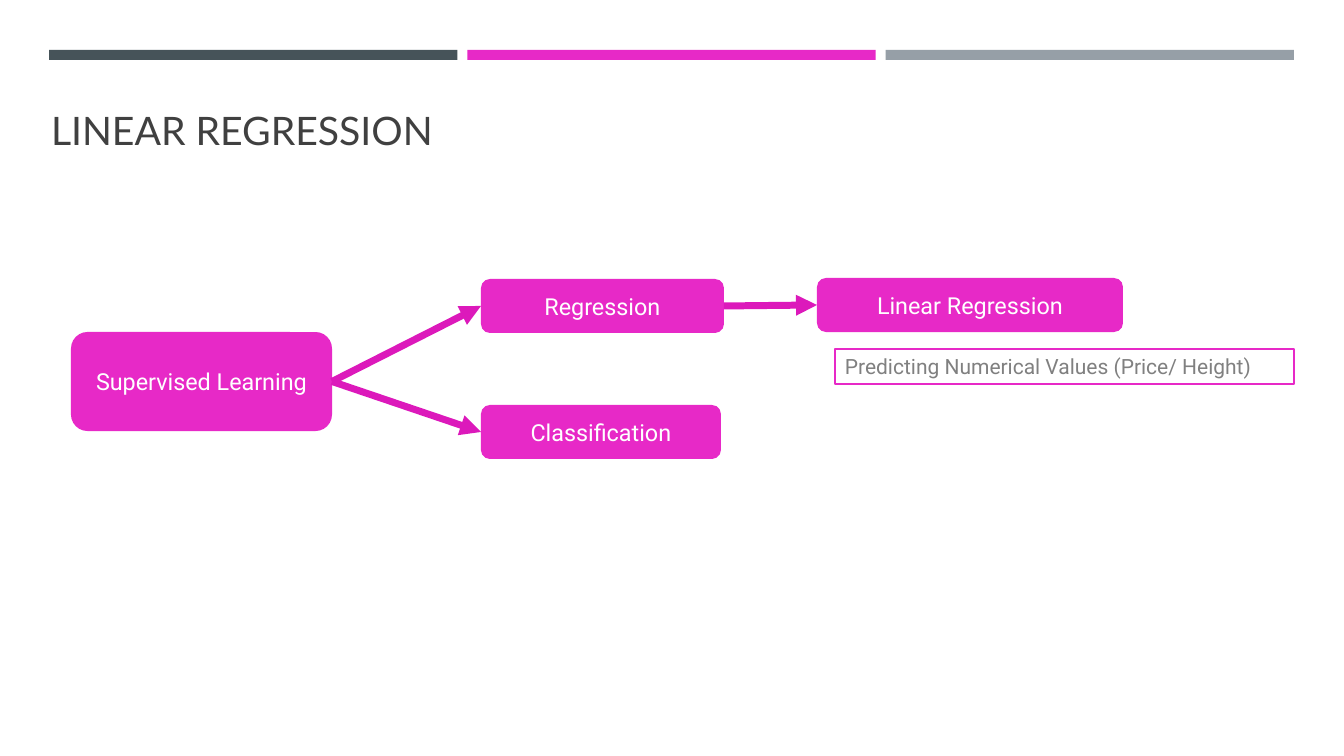
from lxml.etree import SubElement
from pptx import Presentation
from pptx.dml.color import RGBColor
from pptx.enum.shapes import MSO_CONNECTOR, MSO_SHAPE
from pptx.enum.text import MSO_ANCHOR, MSO_AUTO_SIZE, PP_ALIGN
from pptx.oxml.ns import qn
from pptx.util import Pt

EMU_PER_PX = 914400 / 100.8
SLATE = RGBColor(0x46, 0x53, 0x59)
MAGENTA = RGBColor(0xE7, 0x29, 0xC7)
DARK_MAGENTA = RGBColor(0xDC, 0x19, 0xBB)
SILVER = RGBColor(0x96, 0x9F, 0xA7)
CHARCOAL = RGBColor(0x40, 0x40, 0x40)
GRAY = RGBColor(0x80, 0x80, 0x80)
WHITE = RGBColor(0xFF, 0xFF, 0xFF)
LEFT_SIDE, RIGHT_SIDE = 1, 3


def px(length):
    return round(length * EMU_PER_PX)


def emu_box(left, top, width, height):
    return px(left), px(top), px(width), px(height)


def write_text(shape, text, font_name, size, color, alignment, anchor):
    frame = shape.text_frame
    frame.word_wrap = True
    frame.vertical_anchor = anchor
    paragraph = frame.paragraphs[0]
    paragraph.alignment = alignment
    run = paragraph.add_run()
    run.text = text
    run.font.name = font_name
    run.font.size = Pt(size)
    run.font.color.rgb = color


def add_filled_shape(slide, kind, box, color):
    shape = slide.shapes.add_shape(kind, *emu_box(*box))
    shape.shadow.inherit = False
    shape.fill.solid()
    shape.fill.fore_color.rgb = color
    shape.line.fill.background()
    return shape


def add_header_bars(slide, left, top, width, height):
    gap = 10
    bar_width = (width - 2 * gap) / 3
    for index, color in enumerate((SLATE, MAGENTA, SILVER)):
        bar_left = left + index * (bar_width + gap)
        add_filled_shape(slide, MSO_SHAPE.RECTANGLE, (bar_left, top, bar_width, height), color)


def add_title(slide, left, top, width, height):
    title = slide.shapes.title
    title.left, title.top, title.width, title.height = emu_box(left, top, width, height)
    write_text(title, "LINEAR REGRESSION", "Lato", 28, CHARCOAL, PP_ALIGN.LEFT, MSO_ANCHOR.BOTTOM)


def add_node(slide, text, left, top, width, height):
    node = add_filled_shape(
        slide, MSO_SHAPE.FLOWCHART_ALTERNATE_PROCESS, (left, top, width, height), MAGENTA)
    write_text(node, text, "Roboto", 16.7, WHITE, PP_ALIGN.CENTER, MSO_ANCHOR.MIDDLE)
    return node


def add_arrow(slide, source, target):
    arrow = slide.shapes.add_connector(MSO_CONNECTOR.STRAIGHT, 0, 0, 0, 0)
    arrow.begin_connect(source, RIGHT_SIDE)
    arrow.end_connect(target, LEFT_SIDE)
    arrow.line.color.rgb = DARK_MAGENTA
    arrow.line.width = Pt(5)
    SubElement(arrow.line._get_or_add_ln(), qn("a:tailEnd"), type="triangle")
    SubElement(arrow._element.spPr, qn("a:effectLst"))


def add_note(slide, left, top, width, height):
    note = slide.shapes.add_textbox(*emu_box(left, top, width, height))
    note.line.color.rgb = MAGENTA
    note.line.width = Pt(1.25)
    write_text(note, "Predicting Numerical Values (Price/ Height)", "Roboto", 15, GRAY,
               PP_ALIGN.LEFT, MSO_ANCHOR.TOP)
    note.text_frame.auto_size = MSO_AUTO_SIZE.SHAPE_TO_FIT_TEXT


def add_learning_diagram(slide, left, top):
    supervised = add_node(slide, "Supervised Learning", left, top + 54, 261, 99)
    regression = add_node(slide, "Regression", left + 410, top + 1, 243, 54)
    classification = add_node(slide, "Classification", left + 410, top + 127, 240, 54)
    linear = add_node(slide, "Linear Regression", left + 746, top, 306, 54)
    for source, target in (
        (supervised, regression),
        (supervised, classification),
        (regression, linear),
    ):
        add_arrow(slide, source, target)
    add_note(slide, left + 764, top + 71, 459, 35)


def main():
    presentation = Presentation()
    presentation.slide_width = px(1344)
    presentation.slide_height = px(756)
    slide = presentation.slides.add_slide(presentation.slide_layouts[5])
    add_header_bars(slide, 49, 50, 1245, 10)
    add_title(slide, 41, 57, 1210, 101)
    add_learning_diagram(slide, 71, 278)
    presentation.save("out.pptx")


if __name__ == "__main__":
    main()
